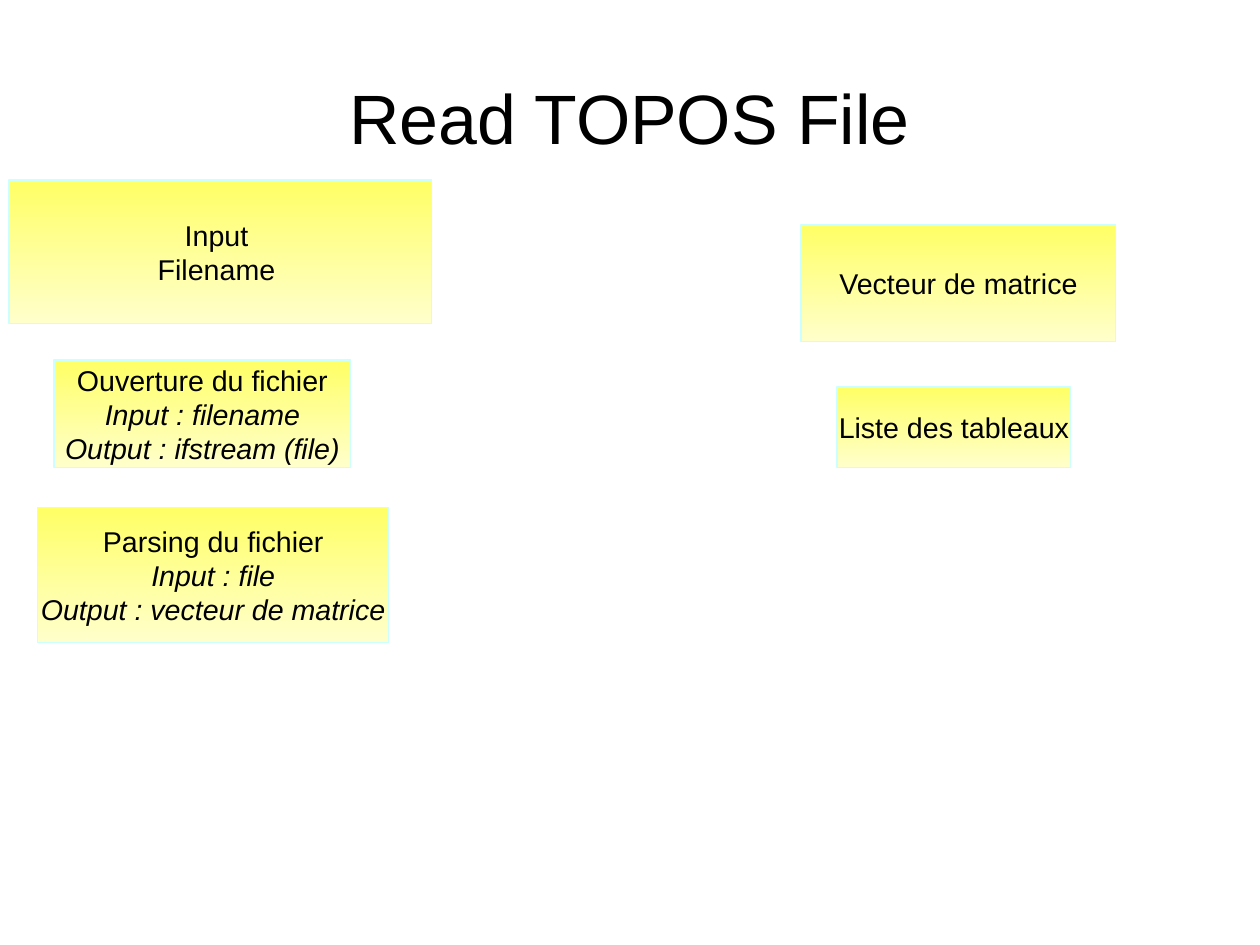
"""Build the slide that outlines how a TOPOS file is read."""
from dataclasses import dataclass

from pptx import Presentation
from pptx.dml.color import RGBColor
from pptx.enum.shapes import MSO_SHAPE as Shape
from pptx.enum.text import MSO_ANCHOR as Anchor, PP_ALIGN as Align
from pptx.util import Cm, Pt

SLIDE_SIZE = (28, 21)
TITLE = ("Read TOPOS File", (1.4, 0.84, 25.2, 3.5))
BOXES = [
    ("Input ", "Filename ", None, (0.2, 4, 9.4, 3.2)),
    ("Ouverture du fichier", "Input : filename", "Output : ifstream (file)", (1.2, 8, 6.6, 2.4)),
    ("Parsing du fichier", "Input : file", "Output : vecteur de matrice", (0.84, 11.28, 7.8, 3)),
    ("Vecteur de matrice", None, None, (17.8, 5, 7, 2.6)),
    ("Liste des tableaux", None, None, (18.6, 8.6, 5.2, 1.8)),
]


@dataclass(frozen=True)
class Theme:
    font: str = "Arial"
    title_size: int = 44
    body_size: int = 18
    text: str = "000000"
    gradient: tuple = ("FFFF66", "FFFFCC")
    border: str = "CCFFFF"


THEME = Theme()


def apply(target, values):
    for name, value in values.items():
        setattr(target, name, value)


def write(shape, lines, size, wrap, margins):
    frame = shape.text_frame
    apply(frame, {"word_wrap": wrap, "vertical_anchor": Anchor.MIDDLE})
    apply(frame, {f"margin_{side}": Cm(value) for side, value in margins.items()})
    for index, (text, italic) in enumerate(lines):
        para = frame.add_paragraph() if index else frame.paragraphs[0]
        para.alignment = Align.CENTER
        span = para.add_run()
        span.text = text
        apply(span.font, {"name": THEME.font, "size": Pt(size), "italic": italic})
        span.font.color.rgb = RGBColor.from_string(THEME.text)


def add_title(page):
    text, place = TITLE
    box = page.shapes.add_textbox(*map(Cm, place))
    margins = dict.fromkeys(("left", "top", "right", "bottom"), 0)
    write(box, [(text, False)], THEME.title_size, True, margins)


def add_step(page, heading, source, result, place):
    box = page.shapes.add_shape(Shape.RECTANGLE, *map(Cm, place))
    box.shadow.inherit = False
    box.fill.gradient()
    box.fill.gradient_angle = 270
    for stop, color in zip(box.fill.gradient_stops, THEME.gradient):
        stop.color.rgb = RGBColor.from_string(color)
    box.line.color.rgb = RGBColor.from_string(THEME.border)
    box.line.width = Pt(0)
    lines = [(heading, False)]
    lines += [(text, result is not None) for text in (source, result) if text]
    margins = {"left": 0.25, "top": 0.13, "right": 0.25, "bottom": 0.13}
    write(box, lines, THEME.body_size, False, margins)


def main():
    deck = Presentation()
    deck.slide_width, deck.slide_height = map(Cm, SLIDE_SIZE)
    page = deck.slides.add_slide(deck.slide_layouts[6])
    add_title(page)
    for step in BOXES:
        add_step(page, *step)
    deck.save("out.pptx")


if __name__ == "__main__":
    main()
